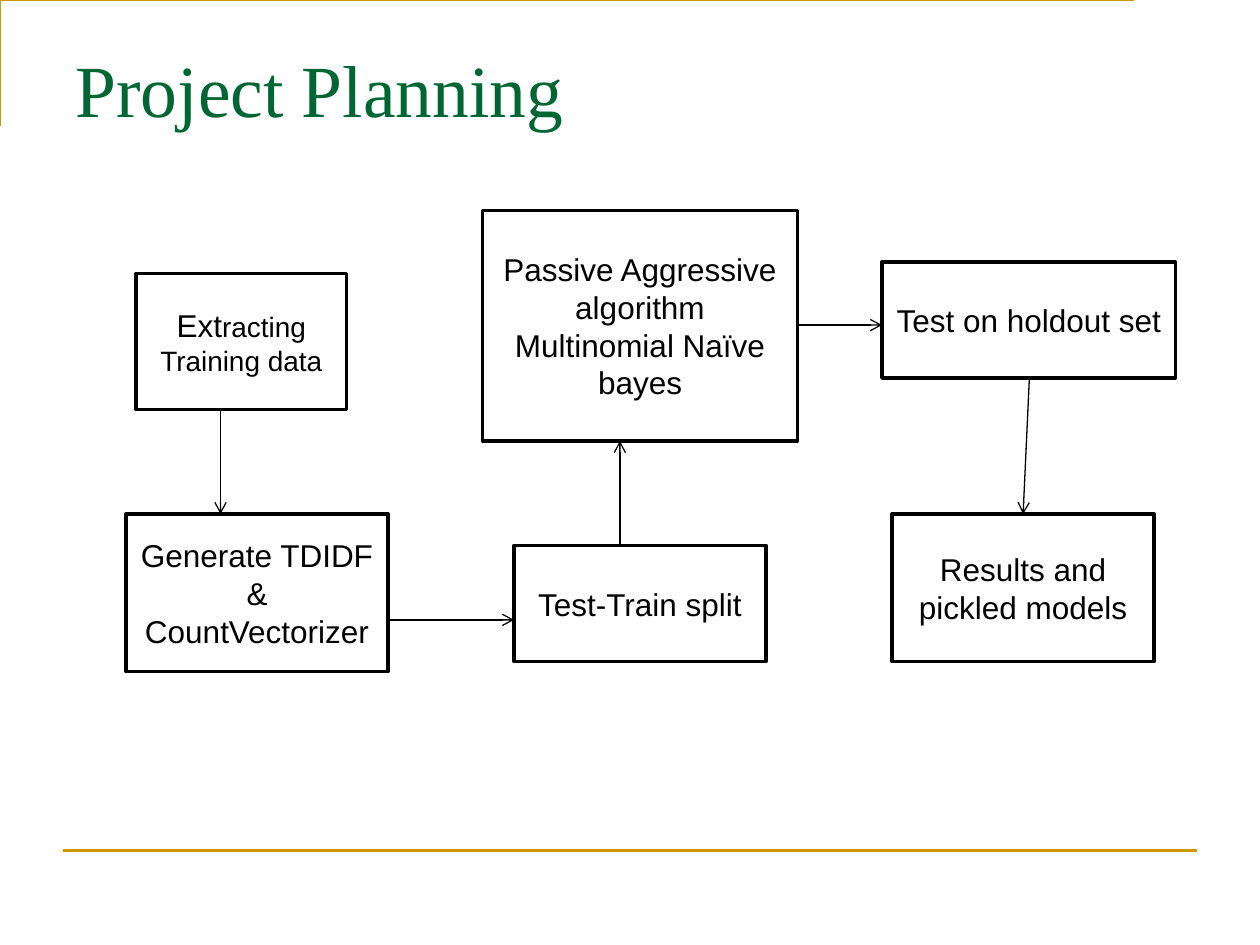
from dataclasses import dataclass

from lxml.etree import SubElement
from pptx import Presentation
from pptx.dml.color import RGBColor
from pptx.enum.shapes import MSO_CONNECTOR, MSO_SHAPE
from pptx.enum.text import MSO_ANCHOR, MSO_AUTO_SIZE, PP_ALIGN
from pptx.oxml.ns import qn
from pptx.slide import Slide
from pptx.util import Inches, Pt


def color(value):
    return RGBColor.from_string(value)


def apply_format(target, values):
    for name, value in values.items():
        setattr(target, name, value)


@dataclass
class SlideBuilder:
    slide: Slide
    accent: str = "CC9900"
    heading: str = "006633"
    ink: str = "000000"
    paper: str = "FFFFFF"
    body_font: str = "Arial"
    title_font: str = "Times New Roman"

    def format_line(self, line, value, width):
        line.color.rgb = color(value)
        line.width = Pt(width)

    def add_run(self, paragraph, text, size, font_name, value):
        run = paragraph.add_run()
        run.text = text
        apply_format(run.font, {"size": Pt(size), "name": font_name})
        run.font.color.rgb = color(value)

    def add_title(self, text, left, top, width, height):
        title = self.slide.shapes.title
        apply_format(title, {
            "left": Inches(left), "top": Inches(top),
            "width": Inches(width), "height": Inches(height),
        })
        apply_format(title.text_frame, {
            "word_wrap": True,
            "auto_size": MSO_AUTO_SIZE.NONE,
            "vertical_anchor": MSO_ANCHOR.TOP,
        })
        paragraph = title.text_frame.paragraphs[0]
        paragraph.alignment = PP_ALIGN.LEFT
        self.add_run(paragraph, text, 42, self.title_font, self.heading)

    def add_corner(self, points):
        builder = self.slide.shapes.build_freeform(*points[0], scale=Inches(1))
        builder.add_line_segments(points[1:], close=False)
        shape = builder.convert_to_shape()
        shape.shadow.inherit = False
        shape.fill.background()
        self.format_line(shape.line, self.accent, 1.5)

    def add_box(self, preset, bounds, paragraphs):
        shape = self.slide.shapes.add_shape(preset, *map(Inches, bounds))
        shape.shadow.inherit = False
        shape.fill.solid()
        shape.fill.fore_color.rgb = color(self.paper)
        self.format_line(shape.line, self.ink, 2)
        frame = shape.text_frame
        apply_format(frame, {"word_wrap": True, "vertical_anchor": MSO_ANCHOR.MIDDLE})
        for index, runs in enumerate(paragraphs):
            paragraph = frame.add_paragraph() if index else frame.paragraphs[0]
            paragraph.alignment = PP_ALIGN.CENTER
            for text, size in runs:
                self.add_run(paragraph, text, size, self.body_font, self.ink)

    def add_line(self, start, end, value, width):
        connector = self.slide.shapes.add_connector(
            MSO_CONNECTOR.STRAIGHT, *map(Inches, (*start, *end)))
        self.format_line(connector.line, value, width)
        SubElement(connector._element.spPr, qn("a:effectLst"))
        return connector

    def add_arrow(self, start, end):
        connector = self.add_line(start, end, self.ink, 0.75)
        SubElement(connector.line._get_or_add_ln(), qn("a:tailEnd"), type="arrow")


def main():
    presentation = Presentation()
    apply_format(presentation, {"slide_width": Inches(10), "slide_height": Inches(7.5)})
    builder = SlideBuilder(presentation.slides.add_slide(presentation.slide_layouts[5]))

    builder.add_corner([(0.42, 0.92), (0.42, 0.25), (9.42, 0.25)])
    builder.add_line((0.5, 6.75), (9.5, 6.75), builder.accent, 1.5)
    builder.add_title("Project Planning", 0.5, 0.3, 9, 1.25)

    process = MSO_SHAPE.FLOWCHART_PROCESS
    steps = [
        (process, (1.08, 2.17, 1.67, 1.08),
         [[("Ext", 18), ("racting", 16)], [("Training data", 16)]]),
        (process, (1, 4.08, 2.08, 1.25), [[("Generate TDIDF & CountVectorizer", 18)]]),
        (process, (3.83, 1.67, 2.5, 1.83),
         [[("Passive Aggressive algorithm", 18)], [("Multinomial Naïve bayes", 18)]]),
        (process, (4.08, 4.33, 2, 0.92), [[("Test-Train split", 18)]]),
        (MSO_SHAPE.RECTANGLE, (7, 2.08, 2.33, 0.92), [[("Test on holdout set", 18)]]),
        (process, (7.08, 4.08, 2.08, 1.17), [[("Results and pickled models", 18)]]),
    ]
    for preset, bounds, paragraphs in steps:
        builder.add_box(preset, bounds, paragraphs)

    arrows = [
        ((1.75, 3.25), (1.75, 4.08)),
        ((3.08, 4.92), (4.08, 4.92)),
        ((4.92, 4.33), (4.92, 3.5)),
        ((6.33, 2.58), (7, 2.58)),
        ((8.17, 3), (8.12, 4.08)),
    ]
    for start, end in arrows:
        builder.add_arrow(start, end)

    presentation.save("out.pptx")


if __name__ == "__main__":
    main()
